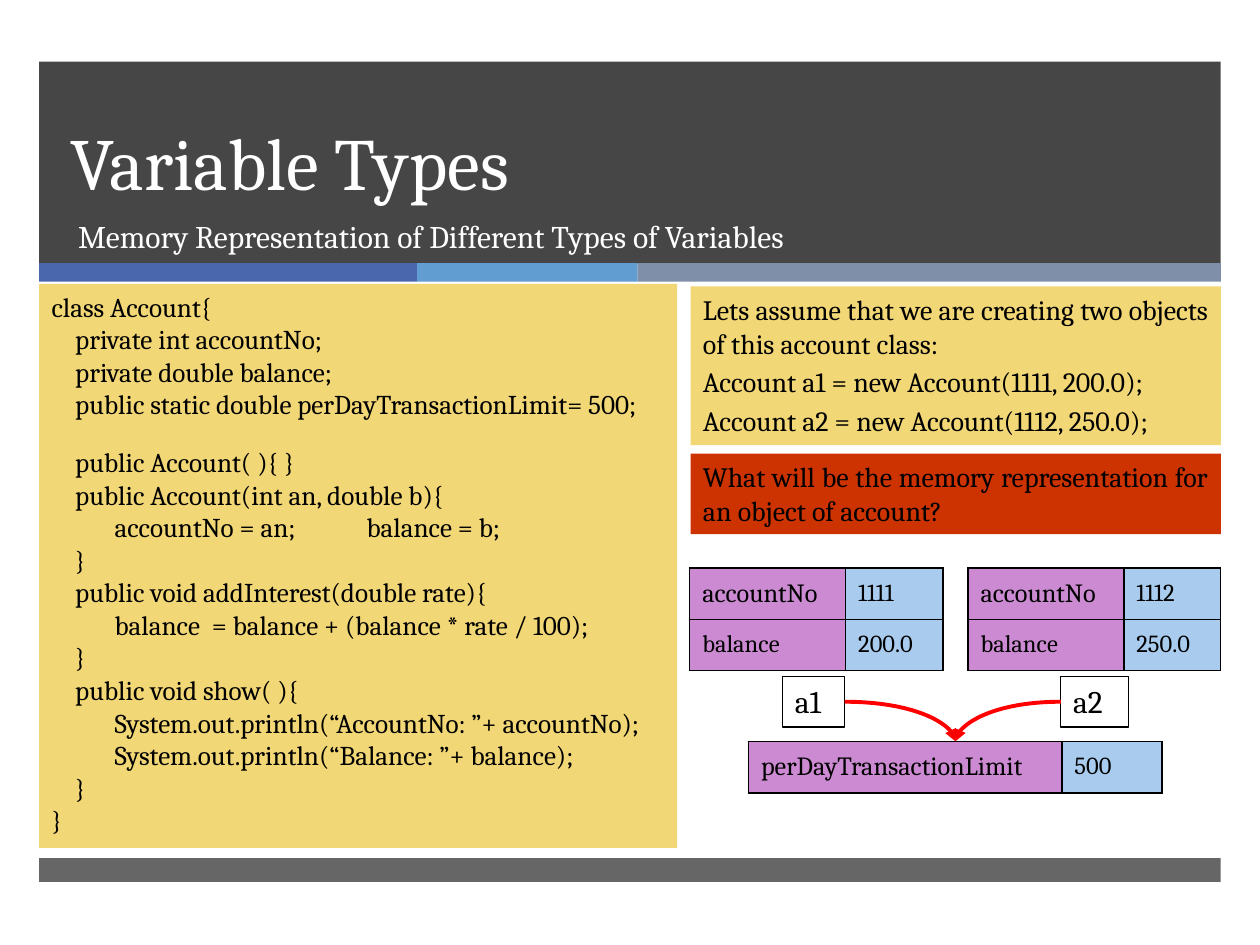
from lxml import etree
from pptx import Presentation
from pptx import util as u
from pptx.dml.color import RGBColor
from pptx.enum import shapes, text
from pptx.oxml.ns import qn

Pt = u.Pt
FONT = "Cambria"
BLACK, WHITE = RGBColor(0, 0, 0), RGBColor(255, 255, 255)
DARK = RGBColor(0x26, 0x26, 0x26)
NAVY, SKY, SLATE = (RGBColor.from_string(c) for c in ("4A66AC", "629DD1", "7F8FA9"))
SAND, RUST = RGBColor(0xF2, 0xD7, 0x76), RGBColor(0xCC, 0x33, 0x00)
PLUM, PALE = RGBColor(0xCB, 0x8A, 0xD2), RGBColor(0xA9, 0xCC, 0xEE)
RED = RGBColor(255, 0, 0)

# Content
TITLE = "Variable Types"
SUB = "Memory Representation of Different Types of Variables"
CODE = [
    "class Account{",
    "\tprivate int accountNo;",
    "\tprivate double balance;",
    "\tpublic static double perDayTransactionLimit= 500;",
    "\tpublic Account( ){ }",
    "\tpublic Account(int an, double b){",
    "\t\taccountNo = an;\tbalance = b;",
    "\t}",
    "\tpublic void addInterest(double rate){",
    "\t\tbalance  = balance + (balance * rate / 100);",
    "\t}",
    "\tpublic void show( ){",
    "\t\tSystem.out.println(“AccountNo: ”+ accountNo);",
    "\t\tSystem.out.println(“Balance: ”+ balance);",
    "\t}",
    "}",
]
GAP = 4  # line of code that starts the methods
TABS = (13.5, 36, 180)
MAKE = [
    "Lets assume that we are creating two objects of this account class:",
    "Account a1 = new Account(1111, 200.0);",
    "Account a2 = new Account(1112, 250.0);",
]
ASK = ["What will be the memory representation for an object of account?"]
# Each table: left, top, column widths, names with sizes, values
PAIR = (89.1, 55.3), [("accountNo", 15), ("balance", 14)]
SOLE = (179.1, 57.3), [("perDayTransactionLimit", 15)]
BASE = [  # empty tables that give the filled ones a heavier edge
    (394.7, 324.7, *PAIR, ["", ""]),
    (553.1, 324.7, *PAIR, ["1112", "250.0"]),
    (427.7, 424.1, *SOLE, [""]),
]
FRONT = [
    (394.1, 324.7, *PAIR, ["1111", "200.0"]),
    (427.7, 423.6, *SOLE, ["500"]),
]
ROW = 29.2
TAGS = [("a1", 447.1, 35.5), ("a2", 606.2, 38.9)]
LEFT, WIDE = 22.4, 675.2
BANDS = [(216, NAVY), (126, SKY), (WIDE - 342, SLATE)]

prs = Presentation()
prs.slide_width, prs.slide_height = Pt(720), Pt(540)
slide = prs.slides.add_slide(prs.slide_layouts[6])
draw = slide.shapes


def put(obj, vals):
    for key, val in vals.items():
        setattr(obj, key, val)


def write(frame, lines, size, color=BLACK, frm=None, par=None):
    put(frame, {"word_wrap": True, **(frm or {})})
    for i, line in enumerate(lines):
        p = frame.paragraphs[0] if i == 0 else frame.add_paragraph()
        put(p, {"alignment": text.PP_ALIGN.LEFT, **(par or {})})
        run = p.add_run()
        run.text = line
        put(run.font, {"name": FONT, "size": Pt(size)})
        run.font.color.rgb = color


def box(x, y, w, h, fill=None, line=None, alpha=None):
    s = draw.add_shape(shapes.MSO_SHAPE.RECTANGLE, Pt(x), Pt(y), Pt(w), Pt(h))
    s.shadow.inherit = False
    if fill is None:
        s.fill.background()
    else:
        s.fill.solid()
        s.fill.fore_color.rgb = fill
    if alpha:
        clr = s.fill._xPr.find(".//" + qn("a:srgbClr"))
        etree.SubElement(clr, qn("a:alpha"), val=str(alpha * 1000))
    if line is None:
        s.line.fill.background()
    else:
        s.line.color.rgb, s.line.width = line, Pt(0.75)
    return s


def label(x, y, w, h, line, size, frm, par):
    s = draw.add_textbox(Pt(x), Pt(y), Pt(w), Pt(h))
    write(s.text_frame, [line], size, WHITE, frm, par)


def edge(cell):
    props = cell._tc.get_or_add_tcPr()
    for side in ("lnL", "lnR", "lnT", "lnB"):
        ln = etree.SubElement(props, qn("a:" + side), w=str(Pt(1)))
        fill = etree.SubElement(ln, qn("a:solidFill"))
        etree.SubElement(fill, qn("a:srgbClr"), val=str(BLACK))


def table(x, y, cols, names, vals):
    grid = draw.add_table(len(names), 2, Pt(x), Pt(y), Pt(sum(cols)),
                          Pt(ROW * len(names))).table
    put(grid, {"first_row": False, "horz_banding": False})
    for col, w in zip(grid.columns, cols):
        col.width = Pt(w)
    for r, ((name, size), val) in enumerate(zip(names, vals)):
        grid.rows[r].height = Pt(ROW)
        for c, (word, pts, fill) in enumerate([(name, size, PLUM), (val, 14, PALE)]):
            cell = grid.cell(r, c)
            edge(cell)
            cell.fill.solid()
            cell.fill.fore_color.rgb = fill
            cell.vertical_anchor = text.MSO_ANCHOR.MIDDLE
            if word:
                write(cell.text_frame, [word], pts)


# Header, colour bands and footer
box(LEFT, 35.2, WIDE, 115.6, DARK, alpha=85)
x = LEFT
for w, color in BANDS:
    box(x, 150.3, w, 10.7, color)
    x += w
box(LEFT, 490.3, WIDE, 13.7, DARK, alpha=70)
label(33.1, 35.3, 614.9, 85.7, TITLE, 42,
      {"vertical_anchor": text.MSO_ANCHOR.BOTTOM}, {"line_spacing": Pt(46)})
label(37.5, 120.6, 610.6, 38.2, SUB, 18, {}, {})

# Code panel
TOP = {"vertical_anchor": text.MSO_ANCHOR.TOP}
JUST = {"alignment": text.PP_ALIGN.JUSTIFY}
code = box(LEFT, 162.2, 364.5, 322.4, SAND).text_frame
write(code, CODE, 15.5, frm=TOP, par=JUST)
code.paragraphs[GAP].space_before = Pt(14.5)
for p in code.paragraphs:
    tabs = etree.SubElement(p._p.get_or_add_pPr(), qn("a:tabLst"))
    for pos in TABS:
        etree.SubElement(tabs, qn("a:tab"), pos=str(Pt(pos)), algn="l")

# Notes on the right
for y, h, fill, lines in [(259.2, 46, RUST, ASK), (163.6, 90.8, SAND, MAKE)]:
    note = box(394.6, y, 303, h, fill)
    write(note.text_frame, lines, 16, frm=TOP, par={**JUST, "space_after": Pt(3)})

# Memory tables and object tags
for part in BASE:
    table(*part)
for name, x, w in TAGS:
    write(box(x, 386.4, w, 29, line=BLACK).text_frame, [name], 18, frm=TOP)
for part in FRONT:
    table(*part)

# Curved arrows to the shared value
for x in (TAGS[0][1] + TAGS[0][2], TAGS[1][1]):
    arrow = draw.add_connector(shapes.MSO_CONNECTOR.CURVE,
                               Pt(x), Pt(401), Pt(546), Pt(423.6))
    arrow.line.color.rgb, arrow.line.width = RED, Pt(2.25)
    props = arrow._element.spPr
    props.find(qn("a:prstGeom")).set("prst", "curvedConnector2")
    etree.SubElement(props.find(qn("a:ln")), qn("a:tailEnd"), type="triangle")
    etree.SubElement(props, qn("a:effectLst"))

prs.save("out.pptx")
